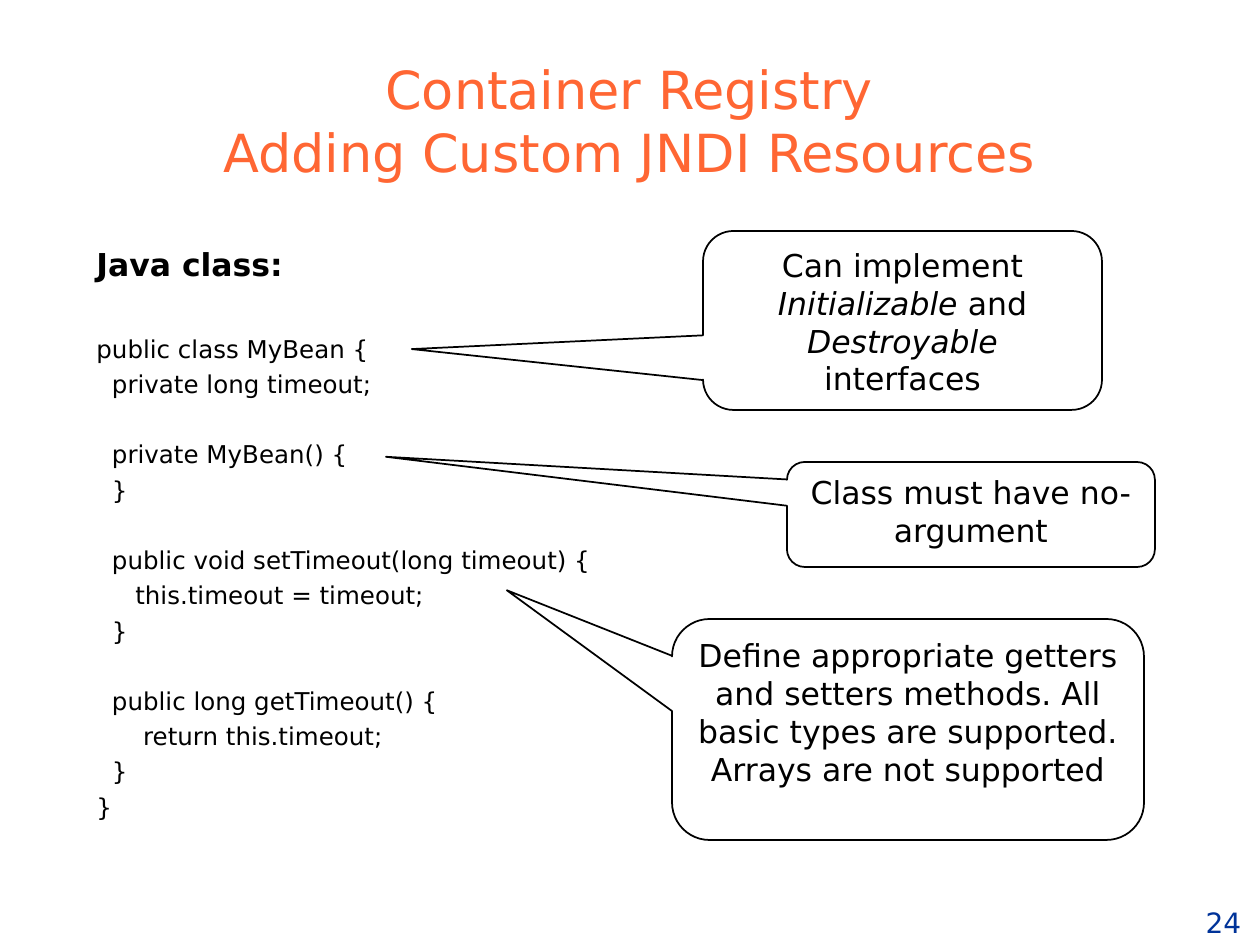
"""Build the slide on adding custom JNDI resources to the container registry."""
from pptx import Presentation
from pptx.dml.color import RGBColor
from pptx.enum.shapes import MSO_SHAPE as Shape
from pptx.enum.text import MSO_ANCHOR as Anchor, PP_ALIGN as Align
from pptx.util import Emu, Pt

PX = 914400 / 126
COLORS = {"title": "FF6633", "ink": "000000", "paper": "FFFFFF", "number": "003399"}


def place(*lengths):
    return [Emu(round(length * PX)) for length in lengths]


def write(para, text, size=18, color="ink", bold=False, italic=False):
    span = para.add_run()
    span.text = text
    span.font.name = "DejaVu Sans"
    span.font.size = Pt(size)
    span.font.bold = bold
    span.font.italic = italic
    span.font.color.rgb = RGBColor.from_string(COLORS[color])


deck = Presentation()
deck.slide_width, deck.slide_height = place(1260, 945)
page = deck.slides.add_slide(deck.slide_layouts[6])

number = page.shapes.add_textbox(*place(1142, 895, 163, 50)).text_frame
number.word_wrap = False
number.vertical_anchor = Anchor.BOTTOM
number.paragraphs[0].alignment = Align.CENTER
write(number.paragraphs[0], "24", size=16, color="number")

title = page.shapes.add_textbox(*place(94, 84, 1071, 105)).text_frame
title.word_wrap = True
title.vertical_anchor = Anchor.BOTTOM
para = title.paragraphs[0]
para.alignment = Align.CENTER
write(para, "Container Registry", size=30, color="title")
para.add_line_break()
write(para, "Adding Custom JNDI Resources", size=30, color="title")

code_blocks = [
    ["public class MyBean {", "  private long timeout;"],
    ["  private MyBean() {", "  }"],
    ["  public void setTimeout(long timeout) {", "     this.timeout = timeout;", "  }"],
    ["  public long getTimeout() {", "      return this.timeout;", "  }", "}"],
]
code = page.shapes.add_textbox(*place(84, 231, 598, 597)).text_frame
code.word_wrap = True
heading = code.paragraphs[0]
heading.line_spacing = 1.2
write(heading, "Java class:", bold=True)
for block_index, block in enumerate(code_blocks):
    for line_index, line in enumerate(block):
        para = code.add_paragraph()
        para.line_spacing = 1.2
        if line_index == 0:
            para.space_before = Pt(20 if block_index else 26)
        write(para, line, size=14)

callouts = [
    ((703, 231, 399, 179), (-1.23, 0.16, 0.17),
     [("Can implement ", False), ("Initializable", True), (" and ", False),
      ("Destroyable ", True), ("interfaces", False)]),
    ((787, 462, 368, 105), (-1.59, -0.55, 0.17),
     [("Class must have no-argument", False)]),
    ((672, 619, 472, 221), (-0.85, -0.63, 0.17),
     [("Define appropriate getters and setters methods. All basic types are "
       "supported. Arrays are not supported", False)]),
]
for bounds, adjustments, spans in callouts:
    callout = page.shapes.add_shape(Shape.ROUNDED_RECTANGULAR_CALLOUT, *place(*bounds))
    for index, value in enumerate(adjustments):
        callout.adjustments[index] = value
    callout.shadow.inherit = False
    callout.fill.solid()
    callout.fill.fore_color.rgb = RGBColor.from_string(COLORS["paper"])
    callout.line.color.rgb = RGBColor.from_string(COLORS["ink"])
    callout.line.width = Pt(1)
    callout.text_frame.word_wrap = True
    callout.text_frame.vertical_anchor = Anchor.TOP
    para = callout.text_frame.paragraphs[0]
    para.alignment = Align.CENTER
    for text, italic in spans:
        write(para, text, italic=italic)

deck.save("out.pptx")
